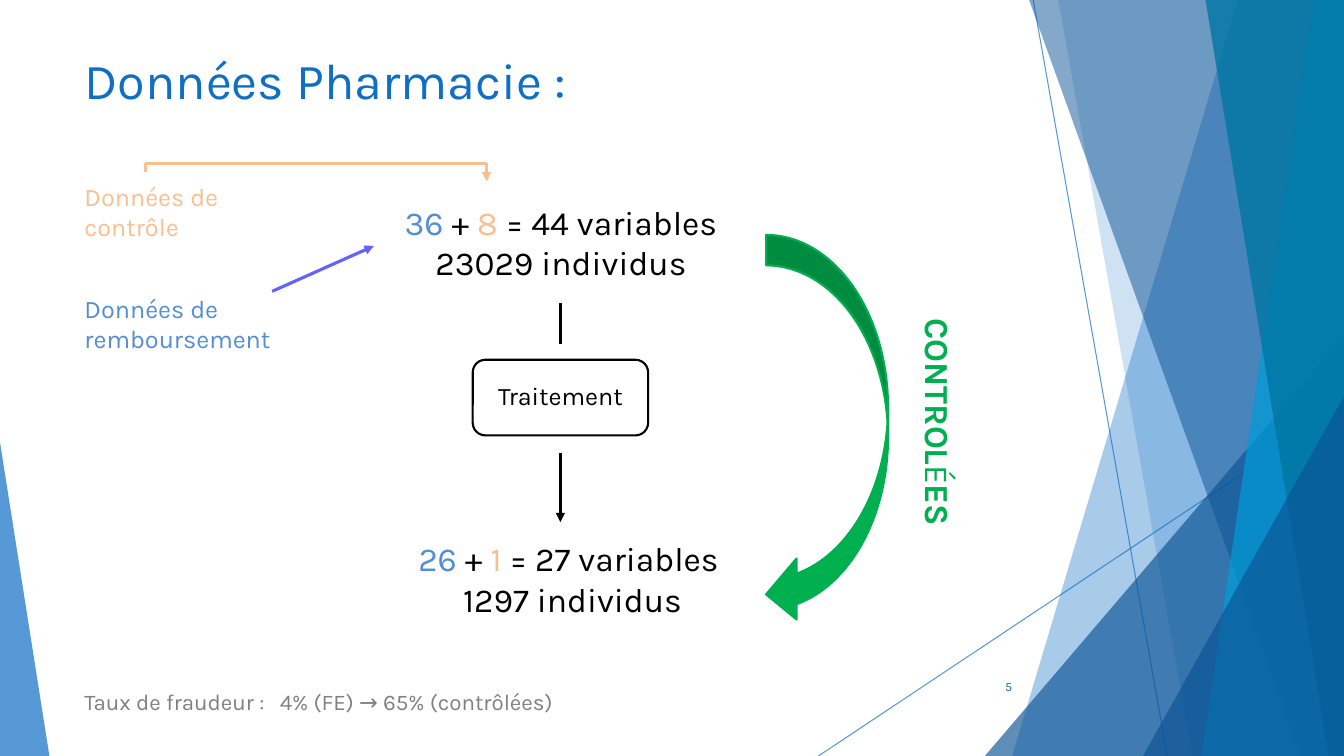
"""Build the pharmacy data slide."""
from lxml import etree
from pptx import Presentation
from pptx.dml.color import RGBColor
from pptx.enum import shapes, text
from pptx.oxml import ns
from pptx.util import Pt

FONT = "Karla"
WIDTH, HEIGHT = 960, 540
BLUE = RGBColor(0x0F, 0x6F, 0xC6)
NAVY = RGBColor(0x0B, 0x53, 0x94)
CYAN = RGBColor(0x00, 0x9D, 0xD9)
TEAL = RGBColor(0x00, 0x76, 0xA3)
SKY = RGBColor(0x53, 0x8D, 0xD5)
PEACH = RGBColor(0xFA, 0xBF, 0x8F)
VIOLET = RGBColor(0x62, 0x62, 0xFF)
GREEN = RGBColor(0x00, 0xB0, 0x50)
GRAY = RGBColor(0x80, 0x80, 0x80)
BLACK = RGBColor(0, 0, 0)
LEFT, CENTER, RIGHT = text.PP_ALIGN.LEFT, text.PP_ALIGN.CENTER, text.PP_ALIGN.RIGHT
PRESET = shapes.MSO_SHAPE
MARGIN = 53.28
AXIS = 400.3


def add_child(parent, tag, **attributes):
    """Append a DrawingML element to parent."""
    return etree.SubElement(parent, ns.qn(tag), **attributes)


def set_alpha(owner, percent):
    """Make the colour of a fill or line partly transparent."""
    color = next(owner.iter(ns.qn("a:srgbClr")))
    add_child(color, "a:alpha", val=str(percent * 1000))


def paint(shape, fill=None, line=None, alpha=100):
    """Set the fill and outline of a shape and drop its shadow."""
    shape.shadow.inherit = False
    if fill is None:
        shape.fill.background()
    else:
        shape.fill.solid()
        shape.fill.fore_color.rgb = fill
        if alpha < 100:
            set_alpha(shape.element.spPr, alpha)
    if line is None:
        shape.line.fill.background()
    else:
        shape.line.color.rgb = line
        shape.line.width = Pt(1.5)


def add_panel(page, top, bottom, color, alpha):
    """Draw a full-height panel from a slanted edge to the right side."""
    builder = page.shapes.build_freeform(Pt(top), Pt(0))
    corners = [(WIDTH, 0), (WIDTH, HEIGHT), (bottom, HEIGHT)]
    builder.add_line_segments([(Pt(x), Pt(y)) for x, y in corners], close=True)
    paint(builder.convert_to_shape(), color, alpha=alpha)


def add_shape(page, kind, area, **colors):
    """Draw a preset shape."""
    shape = page.shapes.add_shape(kind, *map(Pt, area))
    paint(shape, **colors)
    return shape


def add_wedge(page, left, top, width, peak, color, alpha):
    """Draw a right triangle standing on the bottom of the slide."""
    area = (left, top, width, HEIGHT - top)
    wedge = add_shape(page, PRESET.ISOSCELES_TRIANGLE, area, fill=color, alpha=alpha)
    wedge.adjustments[0] = peak


def add_line(page, start, end, color, width=2.25, arrow=False, alpha=100, bend=None):
    """Draw a straight or elbow connector."""
    kind = shapes.MSO_CONNECTOR.STRAIGHT if bend is None else shapes.MSO_CONNECTOR.ELBOW
    line = page.shapes.add_connector(kind, *map(Pt, start + end))
    line.line.color.rgb = color
    line.line.width = Pt(width)
    properties = line.element.spPr
    if alpha < 100:
        set_alpha(properties, alpha)
    if arrow:
        add_child(properties.find(ns.qn("a:ln")), "a:tailEnd", type="triangle")
    if bend is not None:
        guides = next(properties.iter(ns.qn("a:avLst")))
        add_child(guides, "a:gd", name="adj1", fmla=f"val {bend}")
    add_child(properties, "a:effectLst")


def add_text(page, area, lines, size, color, align=LEFT, anchor=text.MSO_ANCHOR.TOP):
    """Add a text box; each line lists spans as (words, font changes)."""
    box = page.shapes.add_textbox(*map(Pt, area))
    frame = box.text_frame
    frame.word_wrap = True
    frame.vertical_anchor = anchor
    for index, line in enumerate(lines):
        para = frame.add_paragraph() if index else frame.paragraphs[0]
        para.alignment = align
        para.font.name = FONT
        para.font.size = Pt(size)
        para.font.color.rgb = color
        for words, changes in [(line, {})] if isinstance(line, str) else line:
            span = para.add_run()
            span.text = words
            if "color" in changes:
                span.font.color.rgb = changes["color"]
            if "bold" in changes:
                span.font.bold = changes["bold"]
    return box


def add_count(page, area, refunds, controls, total, people):
    """Add a centred summary of variables and individuals."""
    sums = [(refunds, {"color": SKY}), (" + ", {}),
            (controls, {"color": PEACH}), (total, {})]
    add_text(page, area, [sums, people], 24, BLACK, CENTER)


def add_background(page):
    """Draw the faceted decoration."""
    add_line(page, (738, 0), (833.8, HEIGHT), BLUE, 0.75, alpha=70)
    add_line(page, (WIDTH, 290.2), (584.6, HEIGHT), BLUE, 0.75, alpha=70)
    add_panel(page, 884.2, 723, BLUE, 36)
    add_panel(page, 756, 851.8, BLUE, 20)
    add_wedge(page, 703.5, 239.8, 256.5, 1, NAVY, 66)
    add_panel(page, 735.1, 929.5, NAVY, 50)
    add_panel(page, 938.2, 858.2, CYAN, 70)
    add_panel(page, 861.1, 949, TEAL, 80)
    add_wedge(page, 816.5, 283, 143.5, 1, NAVY, 66)
    add_wedge(page, 0, 316, 35.3, 0, BLUE, 70)


def add_sources(page):
    """Add the two data sources with their arrows."""
    add_text(page, (MARGIN, 205.9, 156.2, 51), ["Données de", "remboursement"], 18, SKY)
    add_text(page, (MARGIN, 126, 156.2, 51), ["Données de", "contrôle"], 18, PEACH)
    add_line(page, (103.7, 116.6), (347.8, 129.6), PEACH, arrow=True, bend=99900)
    add_line(page, (103.7, 116.6), (103.7, 123.1), PEACH)
    add_line(page, (194.4, 208.1), (267.1, 175.7), VIOLET, arrow=True)


def add_process(page):
    """Add the counts before and after processing."""
    add_count(page, (267.1, 380.9, 283.7, 65.5), "26", "1", " = 27 variables ",
              "1297 individus")
    add_count(page, (249.8, 140.4, 301.7, 65.5), "36", "8", " = 44 variables",
              "23029 individus")
    add_line(page, (AXIS, 216.7), (AXIS, 245.5), BLACK)
    add_shape(page, PRESET.ROUNDED_RECTANGLE, (337.7, 257, 125.3, 54), line=BLACK)
    add_text(page, (337.7, 267.8, 125.3, 28.8), ["Traitement"], 18, BLACK, CENTER)
    add_line(page, (AXIS, 323.3), (AXIS, 373), BLACK, arrow=True)
    add_shape(page, PRESET.CURVED_LEFT_ARROW, (547.2, 167.8, 87.1, 278.6),
              fill=GREEN, line=GREEN)
    spans = [("CONTROL", {"bold": True}), ("É", {"bold": False}), ("ES", {"bold": True})]
    add_text(page, (583.9, 288.7, 172.8, 36), [spans], 24, GREEN).rotation = 90


def add_footer(page):
    """Add the page number and the fraud rate."""
    add_text(page, (676.1, 475.9, 54, 28.8), ["5"], 9, BLUE, RIGHT, text.MSO_ANCHOR.MIDDLE)
    rate = "Taux de fraudeur :\t4% (FE) → 65% (contrôlées)"
    box = add_text(page, (MARGIN, 488.2, 377.3, 26.6), [rate], 16, GRAY)
    properties = next(box.element.iter(ns.qn("a:pPr")))
    stops = etree.Element(ns.qn("a:tabLst"))
    add_child(stops, "a:tab", pos=str(Pt(139.5)), algn="l")
    properties.find(ns.qn("a:defRPr")).addprevious(stops)


def main():
    """Build and save the deck."""
    deck = Presentation()
    deck.slide_width, deck.slide_height = Pt(WIDTH), Pt(HEIGHT)
    page = deck.slides.add_slide(deck.slide_layouts[6])
    add_background(page)
    add_text(page, (MARGIN, 31.7, 676.8, 65.5), ["Données Pharmacie :"], 36, BLUE)
    add_footer(page)
    add_process(page)
    add_sources(page)
    deck.save("out.pptx")


if __name__ == "__main__":
    main()
